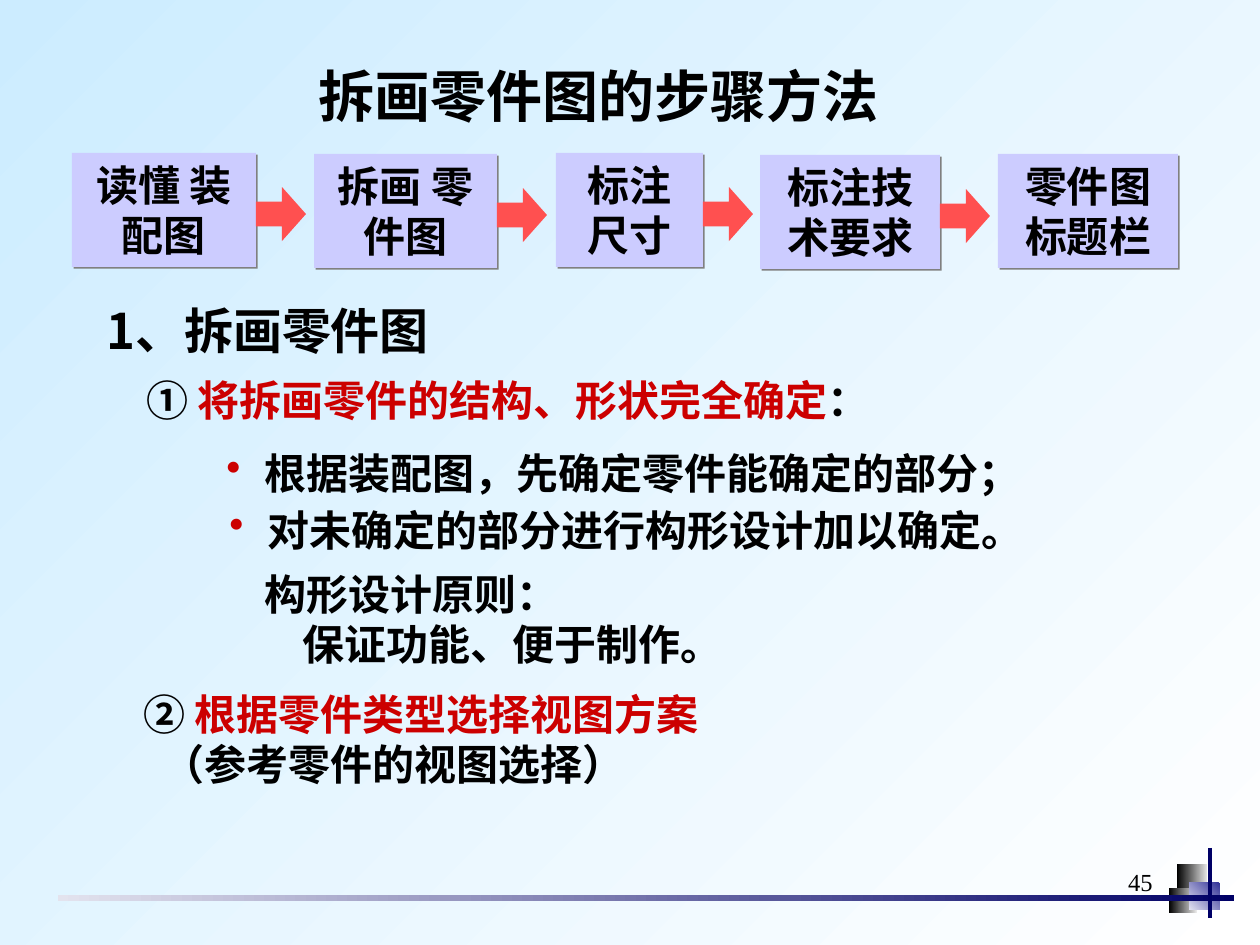
from dataclasses import dataclass

from lxml.etree import SubElement
from pptx import Presentation
from pptx.dml.color import RGBColor as RGB
from pptx.enum.shapes import MSO_CONNECTOR as Link, MSO_SHAPE as Kind
from pptx.enum.text import MSO_ANCHOR as Anchor, PP_ALIGN as Align
from pptx.oxml.ns import qn
from pptx.util import Emu, Pt


@dataclass(frozen=True)
class Theme:
    black: str = "000000"
    red: str = "CC0000"
    coral: str = "FF5050"
    lilac: str = "CCCCFF"
    navy: str = "000066"
    shade: str = "808080"
    sky: tuple = ("CCECFF", "FFFFFF")
    bar: tuple = ("E3E3EE", "000066")
    sans: str = "Noto Sans CJK SC"
    serif: str = "Times New Roman"
    title: int = 32
    head: int = 28
    body: int = 24
    page: int = 14


T = Theme()

# left, top, width, text
STEPS = [
    (72, 153, 184, "读懂 装配图"),
    (314, 154, 183, "拆画 零件图"),
    (556, 153, 147, "标注尺寸"),
    (760, 155, 180, "标注技术要求"),
    (998, 154, 180, "零件图标题栏"),
]
# left, top, width, height, colours, angle
TILES = [
    (1177, 864, 30, 24, ("E3E3E3", "000000"), 0),
    (1169, 888, 28, 25, ("EAEAEA", "000000"), 0),
    (1189, 883, 31, 27, ("333399", "E3E3F1"), 45),
]


def px(n):
    return Emu(round(n * 914400 / 126))


def blend(fill, ends, angle=0):
    """Fill with two colours; the angle runs clockwise."""
    fill.gradient()
    fill.gradient_angle = -angle % 360
    for stop, tint in zip(fill.gradient_stops, ends):
        stop.color.rgb = RGB.from_string(tint)


def block(slide, kind, *area):
    shape = slide.shapes.add_shape(kind, *map(px, area))
    shape.shadow.inherit = False
    shape.line.fill.background()
    return shape


def paint(shape, tint):
    shape.fill.solid()
    shape.fill.fore_color.rgb = RGB.from_string(tint)


def style(para, size, face=T.sans, bold=True):
    font = para.font
    font.size, font.bold, font.name = Pt(size), bold, face
    font.color.rgb = RGB.from_string(T.black)
    SubElement(para._p.pPr.find(qn("a:defRPr")), qn("a:ea"), typeface=T.sans)


def write(para, parts):
    """Add runs from (text, colour) pairs, or one run from plain text."""
    if isinstance(parts, str):
        para.add_run().text = parts
        return
    for text, tint in parts:
        run = para.add_run()
        run.text = text
        run.font.color.rgb = RGB.from_string(tint)


def label(slide, area, lines, size=T.body, indent=0, **look):
    """Place a text box whose second line may be indented."""
    frame = slide.shapes.add_textbox(*map(px, area)).text_frame
    frame.word_wrap = True
    for i, parts in enumerate(lines):
        para = frame.add_paragraph() if i else frame.paragraphs[0]
        if i and indent:
            para._p.get_or_add_pPr().set("marL", str(px(indent)))
        write(para, parts)
        style(para, size, **look)
    return frame


def bullet(slide, left, top, text):
    para = label(slide, (left, top, 897, 63), []).paragraphs[0]
    props = para._p.get_or_add_pPr()
    props.set("marL", str(px(38)))
    props.set("indent", str(-px(38)))
    SubElement(SubElement(props, qn("a:buClr")), qn("a:srgbClr"), val=T.red)
    SubElement(props, qn("a:buChar"), char="•")
    write(para, text)
    style(para, T.body)


def step(slide, left, top, width, text):
    box = block(slide, Kind.RECTANGLE, left, top, width, 114)
    paint(box, T.lilac)
    drop = SubElement(box._element.spPr.find(qn("a:effectLst")),
                      qn("a:outerShdw"), dist=str(Pt(1.4)), dir="2700000",
                      algn="ctr", rotWithShape="0")
    SubElement(drop, qn("a:srgbClr"), val=T.shade)
    frame = box.text_frame
    frame.word_wrap, frame.vertical_anchor = True, Anchor.MIDDLE
    para = frame.paragraphs[0]
    para.alignment = Align.CENTER
    write(para, text)
    style(para, T.body)


def arrow(slide, left, top):
    shape = block(slide, Kind.RIGHT_ARROW, left, top, 50, 54)
    shape.adjustments[0], shape.adjustments[1] = 0.46, 0.48
    paint(shape, T.coral)


def flow(slide):
    for left, top, width, text in STEPS:
        step(slide, left, top, width, text)
    for left, top, width, _ in STEPS[:-1]:
        arrow(slide, left + width, top + 34)


def footer(slide):
    page = label(slide, (903, 861, 262, 63), ["45"], T.page,
                 face=T.serif, bold=False)
    page.paragraphs[0].alignment = Align.RIGHT
    for *area, ends, angle in TILES:
        tile = block(slide, Kind.RECTANGLE, *area)
        tile._element.spPr.xfrm.set("flipH", "1")
        blend(tile.fill, ends, angle)
    blend(block(slide, Kind.RECTANGLE, 58, 895, 1176, 6).fill, T.bar)
    rod = slide.shapes.add_connector(
        Link.STRAIGHT, *map(px, (1210, 848, 1210, 918)))
    rod.line.color.rgb = RGB.from_string(T.navy)
    rod.line.width = Pt(2.25)
    SubElement(rod._element.spPr, qn("a:effectLst"))


def main():
    deck = Presentation()
    deck.slide_width, deck.slide_height = px(1260), px(945)
    slide = deck.slides.add_slide(deck.slide_layouts[6])
    blend(slide.background.fill, T.sky, 45)
    footer(slide)
    title = label(slide, (306, 55, 726, 81), ["拆画零件图的步骤方法"],
                  T.title, face=T.serif)
    title.vertical_anchor = Anchor.MIDDLE
    flow(slide)
    label(slide, (94, 294, 485, 72), ["1、拆画零件图"], T.head)
    label(slide, (134, 368, 970, 63), [
        [("① ", T.black), ("将拆画零件的结构、形状完全确定", T.red),
         ("：", T.black)]])
    bullet(slide, 214, 441, "根据装配图，先确定零件能确定的部分；")
    bullet(slide, 217, 498, "对未确定的部分进行构形设计加以确定。")
    label(slide, (252, 562, 852, 113),
          ["构形设计原则：", "保证功能、便于制作。"], indent=38)
    label(slide, (131, 682, 1070, 113), [
        [("② ", T.black), ("根据零件类型选择视图方案", T.red)],
        "（参考零件的视图选择）"], indent=19)
    deck.save("out.pptx")


if __name__ == "__main__":
    main()
